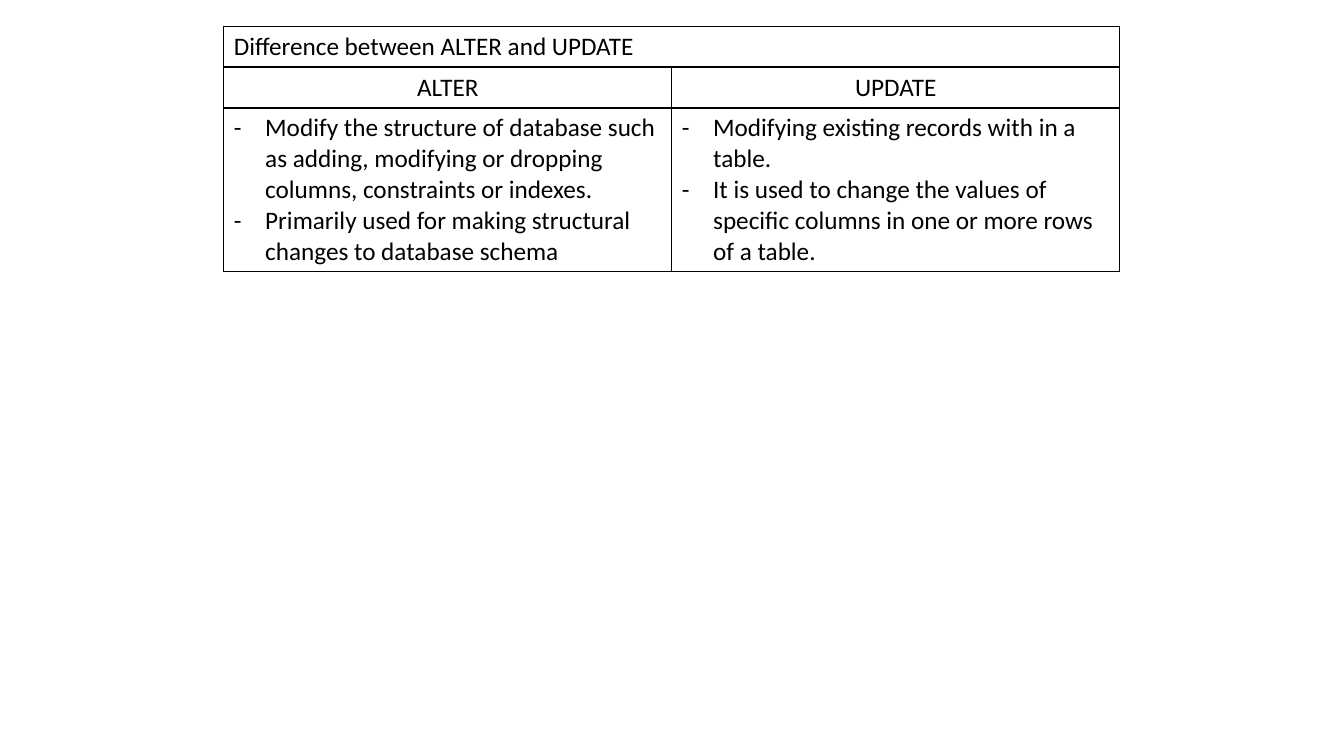
from lxml import etree
from pptx import Presentation
from pptx import util as u
from pptx.dml.color import RGBColor
from pptx.enum import text
from pptx.oxml import ns

HUES = {"ink": "000000", "paper": "FFFFFF"}
TITLE = "Difference between ALTER and UPDATE"
HEADS = ["ALTER", "UPDATE"]
POINTS = [
    [
        "Modify the structure of database such as adding, modifying or dropping columns, constraints or indexes.",
        "Primarily used for making structural changes to database schema",
    ],
    [
        "Modifying existing records with in a table.",
        "It is used to change the values of specific columns in one or more rows of a table.",
    ],
]


class Deck:
    font = "Calibri"
    size = u.Pt(18)
    line = u.Pt(1)
    dent = u.Cm(0.79)

    def __init__(self, slide):
        self.slide = slide

    def hue(self, name):
        return RGBColor.from_string(HUES[name])

    def grid(self, left, top, cols, rows):
        frame = self.slide.shapes.add_table(
            len(rows), len(cols), u.Cm(left), u.Cm(top), u.Cm(sum(cols)), u.Cm(sum(rows))
        )
        table = frame.table
        table.first_row = table.horz_banding = False
        for col, width in zip(table.columns, cols):
            col.width = u.Cm(width)
        for row, height in zip(table.rows, rows):
            row.height = u.Cm(height)
        for cell in table.iter_cells():
            cell.fill.solid()
            cell.fill.fore_color.rgb = self.hue("paper")
            self.edge(cell)
        return table

    def edge(self, cell):
        props = cell._tc.get_or_add_tcPr()
        for spot, side in enumerate(["lnL", "lnR", "lnT", "lnB"]):
            rule = etree.Element(ns.qn(f"a:{side}"), w=str(self.line))
            fill = etree.SubElement(rule, ns.qn("a:solidFill"))
            etree.SubElement(fill, ns.qn("a:srgbClr"), val=HUES["ink"])
            props.insert(spot, rule)

    def label(self, cell, lines, align=text.PP_ALIGN.LEFT, dash=False):
        frame = cell.text_frame
        for spot, words in enumerate(lines):
            para = frame.add_paragraph() if spot else frame.paragraphs[0]
            para.alignment = align
            run = para.add_run()
            run.text = words
            run.font.name = self.font
            run.font.size = self.size
            run.font.color.rgb = self.hue("ink")
            if dash:
                self.mark(para)

    def mark(self, para):
        props = para._p.get_or_add_pPr()
        props.set("marL", str(self.dent))
        props.set("indent", str(-self.dent))
        etree.SubElement(props, ns.qn("a:buFont"), typeface=self.font)
        etree.SubElement(props, ns.qn("a:buChar"), char="-")


def main():
    show = Presentation()
    show.slide_width, show.slide_height = u.Cm(33.87), u.Cm(19.05)
    deck = Deck(show.slides.add_slide(show.slide_layouts[6]))
    table = deck.grid(5.64, 0.66, [11.29] * 2, [1.03, 1.03, 4.1])
    table.cell(0, 0).merge(table.cell(0, 1))
    deck.label(table.cell(0, 0), [TITLE])
    for col, (head, points) in enumerate(zip(HEADS, POINTS)):
        deck.label(table.cell(1, col), [head], text.PP_ALIGN.CENTER)
        deck.label(table.cell(2, col), points, dash=True)
    show.save("out.pptx")


if __name__ == "__main__":
    main()
